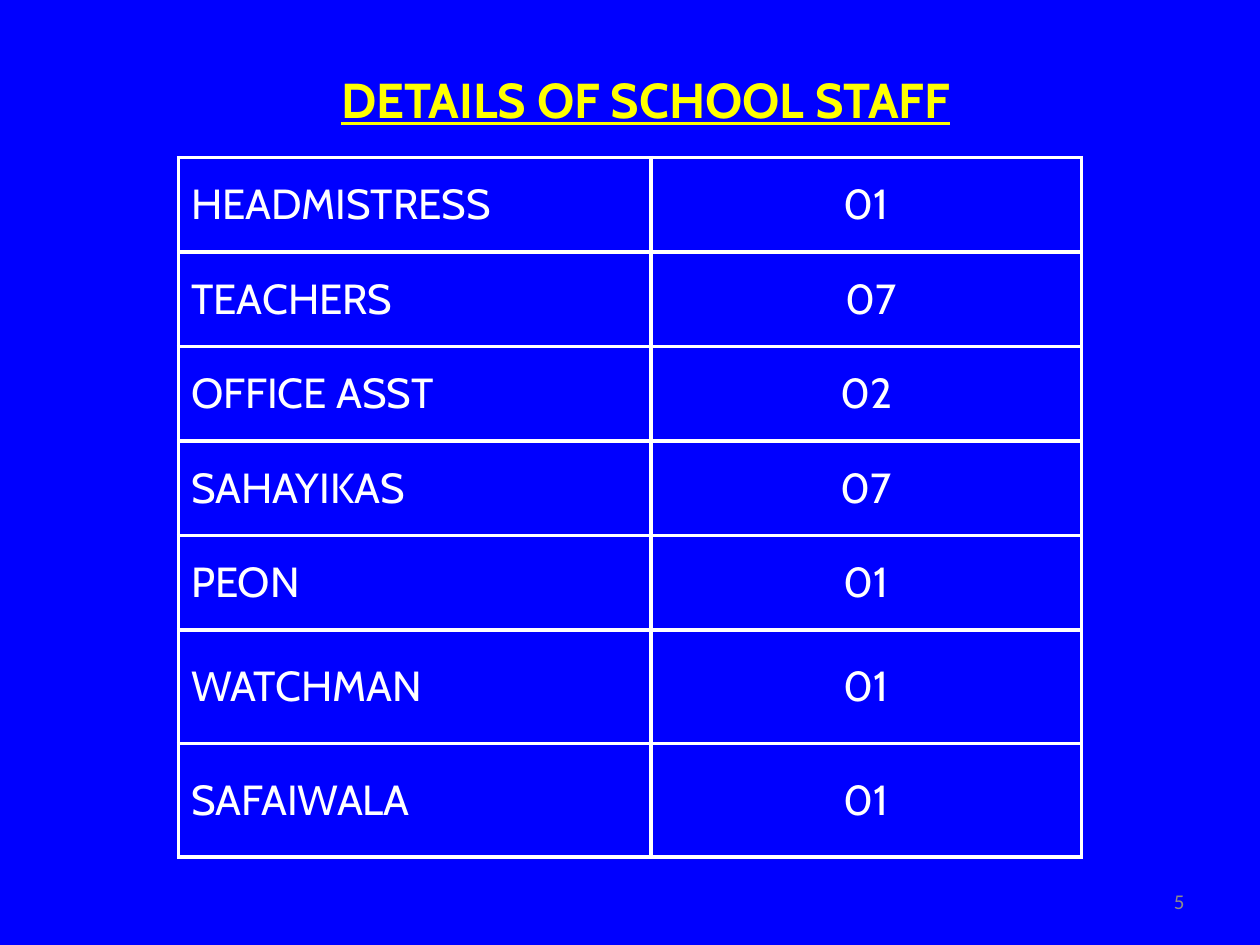
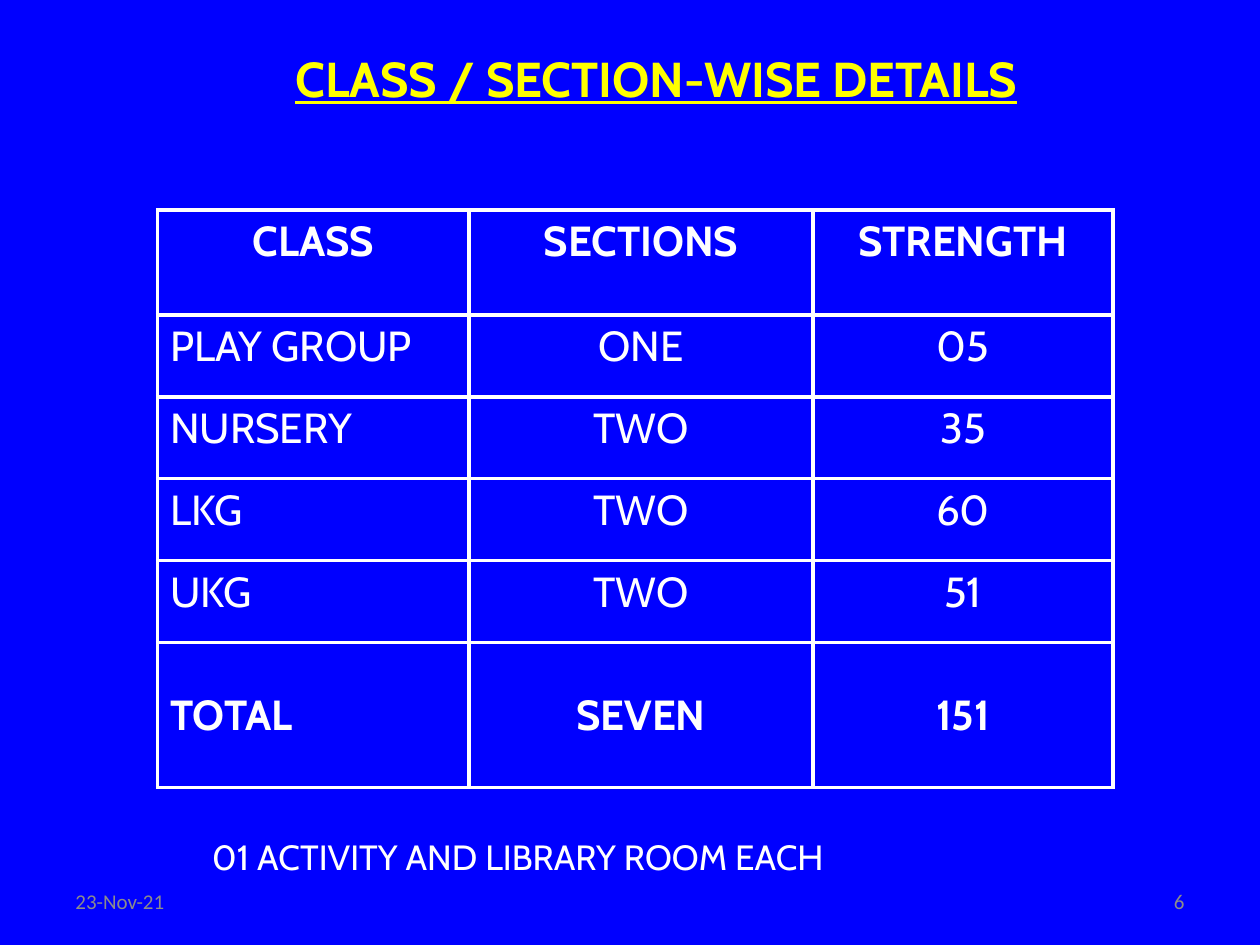
from lxml import etree
from pptx import Presentation
from pptx.dml.color import RGBColor
from pptx.enum import text
from pptx.oxml import ns
from pptx.util import Pt

BLUE = RGBColor(0x00, 0x00, 0xFF)
YELLOW = RGBColor(0xFF, 0xFF, 0x00)
WHITE = RGBColor(0xFF, 0xFF, 0xFF)
GREY = RGBColor(0x8C, 0x8C, 0x8C)
HEAD_FONT, FOOT_FONT = "Cabin", "Calibri"
BORDER = Pt(2.25)
TITLE_ONLY = 5
LEFT, CENTER, RIGHT, JUSTIFY = (
    text.PP_ALIGN.LEFT, text.PP_ALIGN.CENTER, text.PP_ALIGN.RIGHT, text.PP_ALIGN.JUSTIFY)
TOP, MIDDLE = text.MSO_ANCHOR.TOP, text.MSO_ANCHOR.MIDDLE

DATE_BOX = (36, 500.4, 168, 28.8)
NUMBER_BOX = (516, 500.4, 168, 28.8)

STAFF = [
    ("HEADMISTRESS", "01"),
    ("TEACHERS", " 07"),
    ("OFFICE ASST", "02"),
    ("SAHAYIKAS", "07"),
    ("PEON", "01"),
    ("WATCHMAN", "01"),
    ("SAFAIWALA", "01"),
]
CLASSES = [
    ("CLASS", "SECTIONS", "STRENGTH"),
    ("PLAY GROUP", "ONE", "05"),
    ("NURSERY", "TWO", "35"),
    ("LKG", "TWO", "60"),
    ("UKG", "TWO", "51"),
    ("TOTAL", "SEVEN", "151"),
]


def write(frame, words, size, color, align=LEFT, font=HEAD_FONT, bold=False, underline=False):
    frame.text = words
    paragraph = frame.paragraphs[0]
    paragraph.alignment = align
    style = paragraph.runs[0].font
    style.name, style.size, style.bold = font, Pt(size), bold
    style.underline = underline
    style.color.rgb = color


def add_title(slide, box, words):
    title = slide.shapes.title
    title.left, title.top, title.width, title.height = map(Pt, box)
    frame = title.text_frame
    write(frame, words, 28, YELLOW, CENTER, bold=True, underline=True)
    frame.vertical_anchor = TOP
    frame.auto_size = text.MSO_AUTO_SIZE.NONE
    properties = frame.paragraphs[0]._p.get_or_add_pPr()
    properties.set("marL", "0")
    properties.set("indent", str(Pt(36)))


def add_line(slide, box, words, size, color, anchor=TOP, **style):
    frame = slide.shapes.add_textbox(*map(Pt, box)).text_frame
    frame.word_wrap = True
    frame.vertical_anchor = anchor
    write(frame, words, size, color, **style)


def add_footer(slide, number, date=None):
    if date:
        add_line(slide, DATE_BOX, date, 12, GREY, MIDDLE, font=FOOT_FONT)
    add_line(slide, NUMBER_BOX, number, 12, GREY, MIDDLE, font=FOOT_FONT, align=RIGHT)


def outline_cell(cell):
    properties = cell._tc.get_or_add_tcPr()
    for position, side in enumerate(("lnL", "lnR", "lnT", "lnB")):
        line = etree.Element(ns.qn(f"a:{side}"), w=str(BORDER))
        fill = etree.SubElement(line, ns.qn("a:solidFill"))
        etree.SubElement(fill, ns.qn("a:srgbClr"), val=str(WHITE))
        properties.insert(position, line)


def add_grid(slide, origin, widths, heights, rows, label_align, bold_rows=(), middle_rows=()):
    """Bordered table whose first column holds labels and whose other cells are centred."""
    left, top = origin
    table = slide.shapes.add_table(
        len(rows), len(widths), Pt(left), Pt(top), Pt(sum(widths)), Pt(sum(heights))).table
    table.first_row = table.horz_banding = False
    for column, width in zip(table.columns, widths):
        column.width = Pt(width)
    for r, (values, height) in enumerate(zip(rows, heights)):
        table.rows[r].height = Pt(height)
        for c, value in enumerate(values):
            cell = table.cell(r, c)
            is_label = c == 0 and values != CLASSES[0]
            write(cell.text_frame, value, 24, WHITE,
                  label_align if is_label else CENTER, bold=r in bold_rows)
            cell.vertical_anchor = MIDDLE if r in middle_rows else TOP
            cell.fill.background()
            outline_cell(cell)


def build_staff(slide):
    add_title(slide, (30, 36, 642, 41), "DETAILS OF SCHOOL STAFF")
    add_grid(slide, (102, 90), (270, 246), [54] * 5 + [64.8] * 2, STAFF, LEFT,
             middle_rows=range(len(STAFF)))
    add_footer(slide, "5")


def build_classes(slide):
    last = len(CLASSES) - 1
    add_title(slide, (24, 24, 666, 75), "CLASS / SECTION-WISE DETAILS")
    add_grid(slide, (90, 120), (178, 196.5, 171.5), [60] + [46.8] * 4 + [82.8], CLASSES,
             JUSTIFY, bold_rows=(0, last), middle_rows=(last,))
    add_line(slide, (114, 474, 516, 31.5), "01 ACTIVITY AND LIBRARY ROOM EACH", 20, WHITE)
    add_footer(slide, "6", "23-Nov-21")


def main():
    prs = Presentation()
    prs.slide_width, prs.slide_height = Pt(720), Pt(540)
    backdrop = prs.slide_master.background.fill
    backdrop.solid()
    backdrop.fore_color.rgb = BLUE
    for build in (build_staff, build_classes):
        build(prs.slides.add_slide(prs.slide_layouts[TITLE_ONLY]))
    prs.save("out.pptx")


if __name__ == "__main__":
    main()
